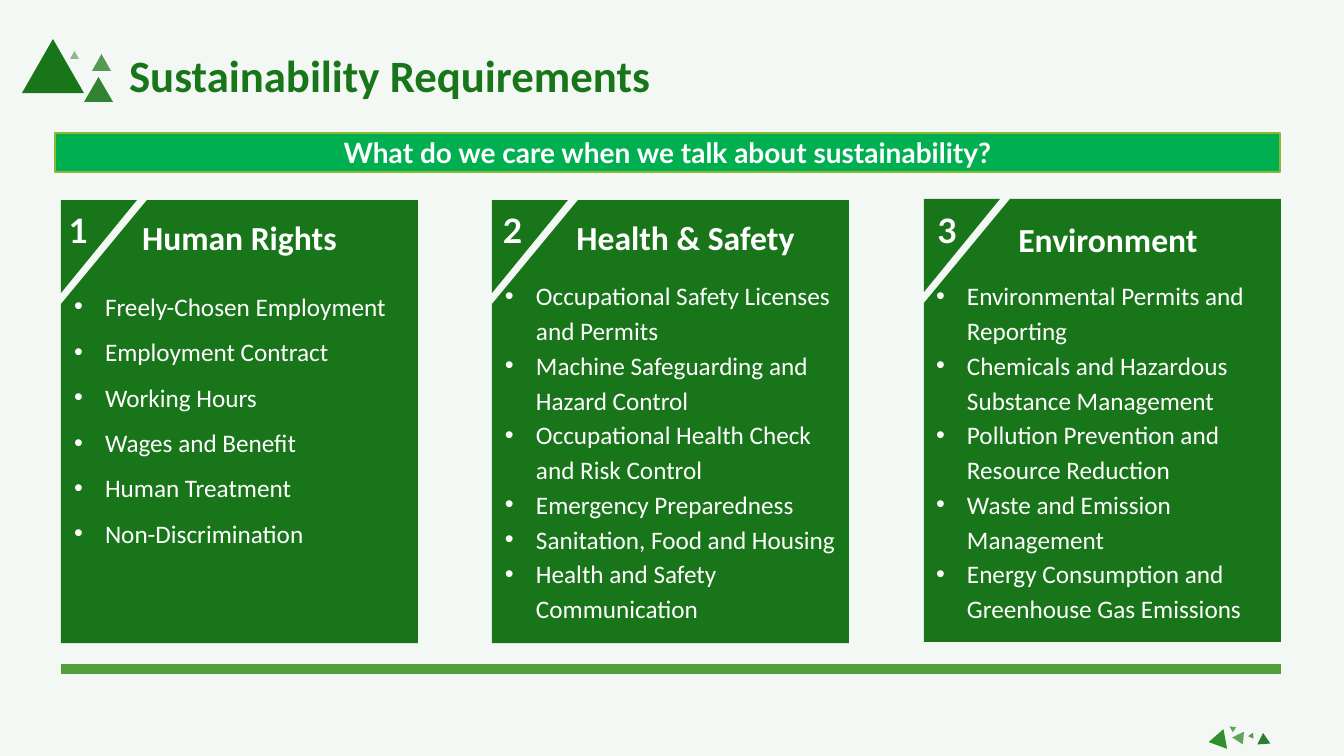
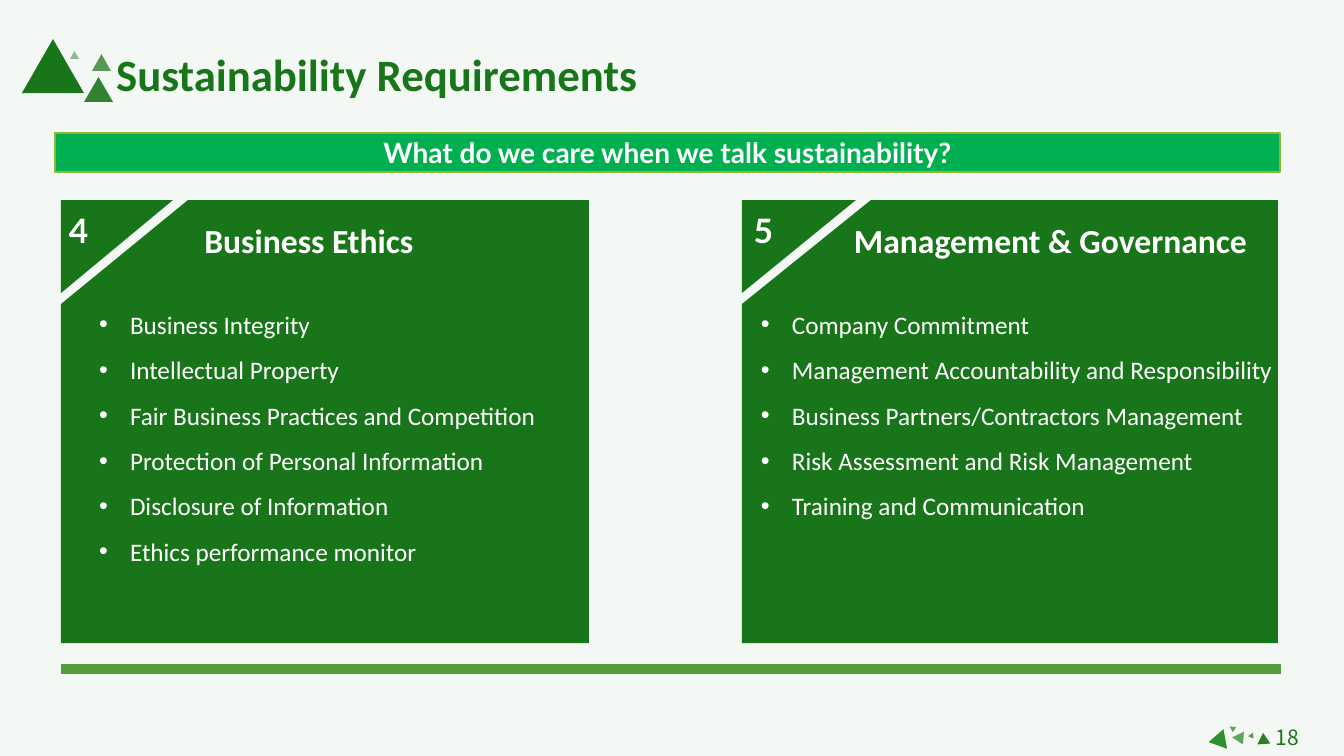
from lxml.etree import SubElement
from pptx import Presentation
from pptx.dml.color import RGBColor
from pptx.enum.shapes import MSO_CONNECTOR as Connector, MSO_SHAPE as Preset
from pptx.enum.text import MSO_ANCHOR as Anchor, PP_ALIGN as Align
from pptx.oxml.ns import qn
from pptx.util import Pt

SCALE = 914400 / 100.8
GREEN, BANNER, OLIVE, RULE = "197519", "00B050", "8AB833", "549E39"
PALE, WHITE = "F4F8F4", "FFFFFF"

TITLE = dict(name="Calibri", size=Pt(32), bold=True)
HEADING = dict(name="Calibri", size=Pt(24), bold=True)
BADGE = dict(name="Lato", size=Pt(24), bold=True)
QUESTION = dict(name="Lato", size=Pt(20), bold=True)
ITEM = dict(name="Calibri", size=Pt(18))
NUMBER = dict(name="Noto Sans CJK SC", size=Pt(15))


def px(*lengths):
    return [round(length * SCALE) for length in lengths]


def write(box, lines, font, colour=WHITE, wrap=True, spacing=None, margins=(10, 5, 10, 5),
          anchor=Anchor.TOP, bullets=False):
    frame = box.text_frame
    left, top, right, bottom = px(*margins)
    layout = dict(word_wrap=wrap, vertical_anchor=anchor, margin_left=left, margin_top=top,
                  margin_right=right, margin_bottom=bottom)
    for name, value in layout.items():
        setattr(frame, name, value)
    for index, line in enumerate(lines):
        para = frame.add_paragraph() if index else frame.paragraphs[0]
        para.alignment = Align.LEFT if bullets else Align.CENTER
        if spacing:
            para.line_spacing = spacing
        if bullets:
            indent = px(31)[0]
            properties = para._p.get_or_add_pPr()
            properties.set("marL", str(indent))
            properties.set("indent", str(-indent))
            SubElement(properties, qn("a:buFont"), typeface="Arial")
            SubElement(properties, qn("a:buChar"), char="•")
        span = para.add_run()
        span.text = line
        for name, value in font.items():
            setattr(span.font, name, value)
        span.font.color.rgb = RGBColor.from_string(colour)


# Triangles: left, top, width, height, rotation, colour, opacity in percent
triangles = [
    (22, 39, 62, 54, 0, GREEN, 100),
    (84, 77, 29, 25, 0, GREEN, 89),
    (70, 51, 9, 8, 0, GREEN, 47),
    (92, 54, 19, 17, 0, GREEN, 72),
    (1234, 734, 13, 11, 153.9, "5EA45A", 100),
    (1207, 732, 20, 17, 259.5, "309030", 100),
    (1257, 733, 13, 11, 356.2, "2B7E2A", 100),
    (1229, 725, 6, 6, 303.5, "5EA45A", 100),
    (1249, 734, 6, 5, 145.8, "559551", 100),
]

# Cards: number, (left, top, width), badge left, heading, (left, top, width),
# list (left, top, width), line spacing, items
slides = [
    dict(title_at=(117, 43), page="", question="What do we care when we talk about sustainability?", cards=[
        ("1", (61, 200, 357), 43, "Human Rights", (131, 202, 217), (74, 271, 345), 1.5, [
            "Freely-Chosen Employment", "Employment Contract", "Working Hours",
            "Wages and Benefit", "Human Treatment", "Non-Discrimination"]),
        ("2", (492, 200, 357), 477, "Health & Safety", (565, 202, 241), (505, 271, 345), 1.15, [
            "Occupational Safety Licenses and Permits", "Machine Safeguarding and Hazard Control",
            "Occupational Health Check and Risk Control", "Emergency Preparedness",
            "Sanitation, Food and Housing", "Health and Safety Communication"]),
        ("3", (924, 199, 357), 912, "Environment", (1007, 204, 202), (936, 271, 345), 1.15, [
            "Environmental Permits and Reporting", "Chemicals and Hazardous Substance Management",
            "Pollution Prevention and Resource Reduction", "Waste and Emission Management",
            "Energy Consumption and Greenhouse Gas Emissions"]),
    ]),
    dict(title_at=(104, 42), page="18", question="What do we care when we talk sustainability?", cards=[
        ("4", (61, 200, 528), 43, "Business Ethics", (193, 205, 232), (99, 289, 460), 1.5, [
            "Business Integrity", "Intellectual Property", "Fair Business Practices and Competition",
            "Protection of Personal Information", "Disclosure of Information",
            "Ethics performance monitor"]),
        ("5", (742, 200, 536), 728, "Management & Governance", (842, 205, 417), (761, 289, 536), 1.5, [
            "Company Commitment", "Management Accountability and Responsibility",
            "Business Partners/Contractors Management", "Risk Assessment and Risk Management",
            "Training and Communication"]),
    ]),
]

deck = Presentation()
deck.slide_width, deck.slide_height = px(1344, 756)
backdrop = deck.slide_master.background.fill
backdrop.solid()
backdrop.fore_color.rgb = RGBColor.from_string(PALE)

for content in slides:
    page = deck.slides.add_slide(deck.slide_layouts[6])
    shapes = page.shapes

    # Triangle clusters at the title and in the footer
    for left, top, width, height, turn, colour, opacity in triangles:
        triangle = shapes.add_shape(Preset.ISOSCELES_TRIANGLE, *px(left, top, width, height))
        triangle.rotation = turn
        triangle.shadow.inherit = False
        triangle.line.fill.background()
        triangle.fill.solid()
        triangle.fill.fore_color.rgb = RGBColor.from_string(colour)
        if opacity < 100:
            tint = triangle._element.spPr.find(qn("a:solidFill"))[0]
            SubElement(tint, qn("a:alpha"), val=str(opacity * 1000))

    # Title and question banner
    title = shapes.add_textbox(*px(*content["title_at"], 546, 65))
    write(title, ["Sustainability Requirements"], TITLE, GREEN, wrap=False)
    banner = shapes.add_shape(Preset.RECTANGLE, *px(55, 133, 1225, 39))
    banner.shadow.inherit = False
    banner.fill.solid()
    banner.fill.fore_color.rgb = RGBColor.from_string(BANNER)
    banner.line.color.rgb = RGBColor.from_string(OLIVE)
    banner.line.width = Pt(1)
    write(banner, [content["question"]], QUESTION, margins=(8, 8, 8, 8), anchor=Anchor.MIDDLE)

    # Cards with a cut corner
    for number, (left, top, width), badge_left, heading, heading_at, list_at, spacing, items in content["cards"]:
        right, bottom = left + width, top + 443
        outer, inner = left + round(width * 0.24), left + round(width * 0.213)
        outline = shapes.build_freeform(outer, top, scale=SCALE)
        outline.add_line_segments([(right, top), (right, bottom), (left, bottom), (left, top + 104)])
        outline.move_to(left, top)
        outline.add_line_segments([(inner, top), (left, top + 93)])
        card = outline.convert_to_shape()
        card.shadow.inherit = False
        card.line.fill.background()
        card.fill.solid()
        card.fill.fore_color.rgb = RGBColor.from_string(GREEN)

        badge = shapes.add_shape(Preset.ROUNDED_RECTANGLE, *px(badge_left, 199, 71, 63))
        badge.shadow.inherit = False
        badge.fill.background()
        badge.line.fill.background()
        write(badge, [number], BADGE, margins=(8, 8, 8, 8))

        write(shapes.add_textbox(*px(*heading_at, 57)), [heading], HEADING, wrap=False, spacing=1.25)
        write(shapes.add_textbox(*px(*list_at, 360)), items, ITEM, spacing=spacing,
              margins=(0, 5, 10, 5), bullets=True)

    # Rule and page number
    rule = shapes.add_connector(Connector.STRAIGHT, *px(61, 669, 1281, 669))
    rule.line.color.rgb = RGBColor.from_string(RULE)
    rule.line.width = Pt(6.75)
    SubElement(rule._element.spPr, qn("a:effectLst"))
    if content["page"]:
        write(shapes.add_textbox(*px(1253, 720, 69, 35)), [content["page"]], NUMBER, GREEN)

deck.save("out.pptx")
